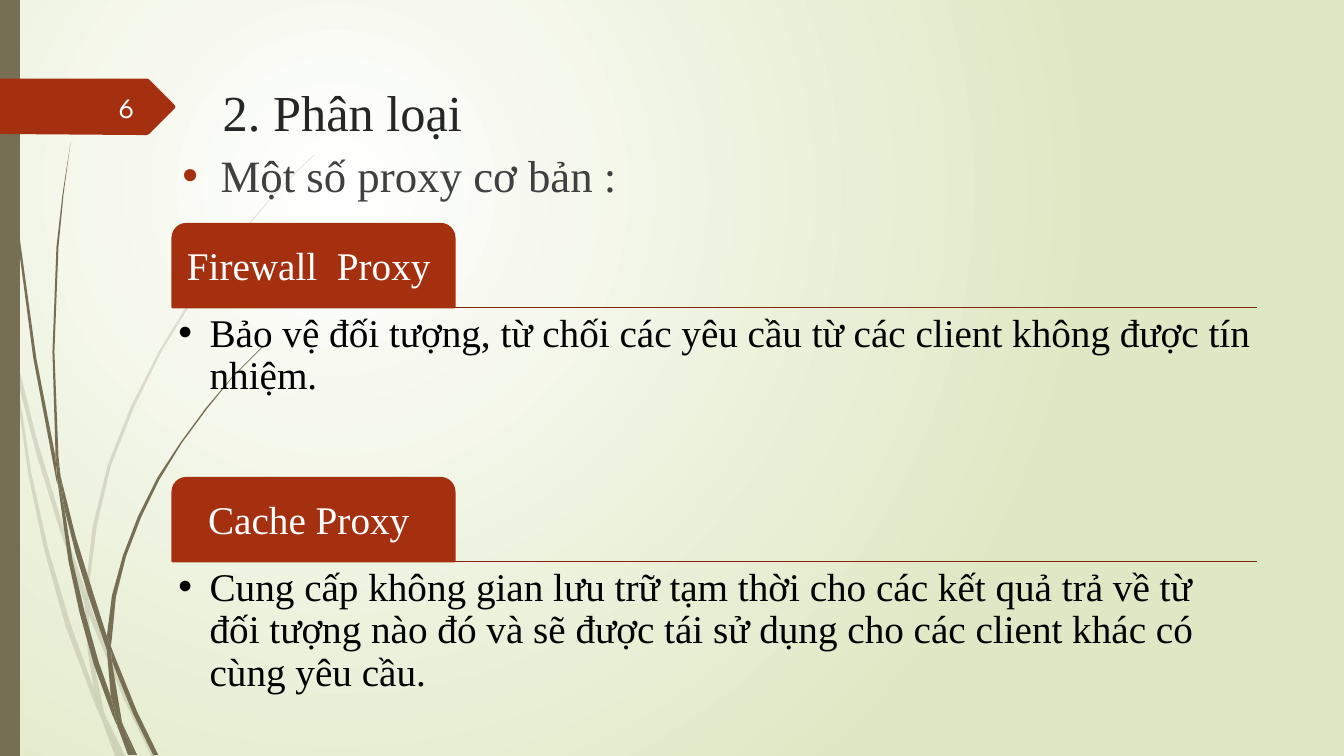
import pptx
import pptx.dml.color
import pptx.enum.shapes
import pptx.enum.text
import pptx.oxml
import pptx.oxml.ns
import pptx.util

Inches = pptx.util.Inches
Pt = pptx.util.Pt
ANCHOR = pptx.enum.text.MSO_ANCHOR
ALIGN = pptx.enum.text.PP_ALIGN
SHAPE = pptx.enum.shapes.MSO_SHAPE
NAMESPACE = pptx.oxml.ns.nsdecls("a")
OLIVE, RUST, DARK_RUST = "766F54", "A53010", "84260D"
color = pptx.dml.color.RGBColor.from_string


def add_outline(points, fill):
    corners = [(Inches(x), Inches(y)) for x, y in points]
    builder = page.shapes.build_freeform(*corners[0])
    builder.add_line_segments(corners[1:], close=True)
    outline = builder.convert_to_shape()
    outline.shadow.inherit = False
    outline.line.fill.background()
    outline.fill.solid()
    outline.fill.fore_color.rgb = color(fill)
    return outline


def add_text(area, text, size, ink, font="Times New Roman", frame_format={},
             para_format={}, indent=0, bullet_color=None):
    box = page.shapes.add_textbox(*map(Inches, area))
    frame = box.text_frame
    for key, value in {"word_wrap": True, **frame_format}.items():
        setattr(frame, key, value)
    para = frame.paragraphs[0]
    for key, value in para_format.items():
        setattr(para, key, value)
    if bullet_color:
        properties = para._p.get_or_add_pPr()
        properties.set("marL", str(Inches(indent)))
        properties.set("indent", str(-Inches(indent)))
        for markup in (f'<a:buClr {NAMESPACE}><a:srgbClr val="{bullet_color}"/></a:buClr>',
                       f'<a:buFont {NAMESPACE} typeface="Arial"/>',
                       f'<a:buChar {NAMESPACE} char="•"/>'):
            properties.append(pptx.oxml.parse_xml(markup))
    span = para.add_run()
    span.text = text
    for key, value in {"name": font, "size": Pt(size)}.items():
        setattr(span.font, key, value)
    span.font.color.rgb = color(ink)


deck = pptx.Presentation()
deck.slide_width, deck.slide_height = Inches(13.33), Inches(7.5)
page = deck.slides.add_slide(deck.slide_layouts[6])

backdrop = page.background.fill
backdrop.gradient()
for stop, shade in zip(backdrop.gradient_stops, ("FFFFFF", "DFE8C4")):
    stop.color.rgb = color(shade)
gradient = page._element.find(".//" + pptx.oxml.ns.qn("a:gradFill"))
gradient.remove(gradient.find(pptx.oxml.ns.qn("a:lin")))
gradient.append(pptx.oxml.parse_xml(
    f'<a:path {NAMESPACE} path="circle"><a:fillToRect l="50000" t="50000" r="100000" b="100000"/></a:path>'))

pale_wisps = [
    [(0.11, 3.5), (0.09, 3.22), (0, 2.82), (0, 2.99), (0.1, 3.44)],
    [(0.58, 5.22), (0.84, 5.99), (0.85, 5.86), (0.62, 5.2), (0.36, 4.34), (0.14, 3.45),
     (0.17, 3.76), (0.36, 4.5)],
    [(0.92, 6.07), (0.88, 5.96), (0.88, 6.1), (1.23, 6.94), (1.5, 7.5), (1.55, 7.5), (1.27, 6.92)],
    [(1.19, 7.5), (1.24, 7.5), (1.05, 7.11)],
    [(0.93, 6.83), (0.7, 6.19), (0.48, 5.45), (0.31, 4.69), (0.17, 3.76), (0.11, 3.5), (0.28, 4.7),
     (0.44, 5.46), (0.65, 6.21), (0.92, 6.93), (1.01, 7.14), (0.99, 7.07)],
    [(0.84, 5.99), (0.87, 6.46), (0.93, 6.83), (0.96, 6.92), (1.05, 7.11), (1.03, 7.06),
     (0.91, 6.46), (0.88, 6.1), (0.88, 6.08)],
    [(0.88, 5.84), (0.96, 5.22), (1.1, 4.62), (1.33, 4.04), (1.6, 3.49), (1.93, 2.95), (2.29, 2.45),
     (2.68, 1.98), (2.9, 1.75), (3.12, 1.54), (3.12, 1.53), (2.89, 1.75), (2.68, 1.97), (2.28, 2.44),
     (1.91, 2.94), (1.58, 3.48), (1.3, 4.03), (1.07, 4.61), (0.92, 5.22), (0.85, 5.84), (0.85, 5.86),
     (0.88, 5.96)],
    [(1.01, 7.14), (1.14, 7.5), (1.19, 7.5)],
    [(0.88, 6.08), (0.88, 5.96), (0.85, 5.86), (0.84, 5.99)],
    [(0.96, 6.92), (0.93, 6.83), (0.99, 7.07), (1.01, 7.14), (1.19, 7.5), (1.05, 7.11)],
]
dark_wisps = [
    [(0.07, 1.1), (0.17, 2.33), (0.33, 3.55), (0.56, 4.77), (0.57, 4.81), (0.55, 4.53), (0.36, 3.55),
     (0.19, 2.32), (0.08, 1.09), (0.05, 0.48), (0.04, 0), (0.03, 0), (0.04, 0.48)],
    [(0.88, 5.92), (1.06, 6.45), (1.06, 6.31), (0.93, 5.9), (0.75, 5.32), (0.6, 4.72), (0.64, 5.05),
     (0.75, 5.49)],
    [(1.13, 6.49), (1.1, 6.41), (1.11, 6.56), (1.32, 7.08), (1.52, 7.49), (1.57, 7.49), (1.36, 7.06)],
    [(1.1, 6.91), (0.98, 6.57), (0.84, 6.07), (0.72, 5.56), (0.64, 5.05), (0.57, 4.77), (0.68, 5.57),
     (0.79, 6.08), (0.93, 6.59), (1.11, 7.08), (1.17, 7.22), (1.16, 7.17)],
    [(0.6, 4.72), (0.58, 4.53), (0.54, 3.49), (0.58, 2.45), (0.63, 1.93), (0.7, 1.41), (0.62, 1.93),
     (0.56, 2.45), (0.52, 3.49), (0.55, 4.49)],
    [(1.33, 7.49), (1.36, 7.49), (1.22, 7.19)],
    [(0.57, 4.77), (0.64, 5.05), (0.6, 4.72), (0.55, 4.49), (0.55, 4.53)],
    [(1.11, 6.33), (1.15, 5.92), (1.25, 5.52), (1.4, 5.13), (1.58, 4.76), (1.8, 4.4), (2.05, 4.06),
     (2.31, 3.74), (2.61, 3.44), (2.6, 3.44), (2.31, 3.73), (2.04, 4.05), (1.79, 4.39), (1.56, 4.74),
     (1.37, 5.12), (1.22, 5.51), (1.11, 5.91), (1.06, 6.31), (1.1, 6.41)],
    [(1.17, 7.22), (1.27, 7.49), (1.31, 7.49)],
    [(1.06, 6.45), (1.1, 6.91), (1.16, 7.06), (1.22, 7.19), (1.21, 7.16), (1.11, 6.56), (1.09, 6.51)],
    [(1.06, 6.45), (1.09, 6.51), (1.11, 6.56), (1.1, 6.41), (1.06, 6.31)],
    [(1.16, 7.06), (1.1, 6.91), (1.16, 7.17), (1.17, 7.22), (1.3, 7.49), (1.33, 7.49), (1.22, 7.19)],
]
for points in pale_wisps:
    wisp = add_outline(points, OLIVE)
    shade = wisp._element.spPr.find(".//" + pptx.oxml.ns.qn("a:srgbClr"))
    shade.append(pptx.oxml.parse_xml(f'<a:alpha {NAMESPACE} val="20000"/>'))
for points in dark_wisps:
    add_outline(points, OLIVE)

add_outline([(0, 0), (0.2, 0), (0.2, 7.5), (0, 7.5)], OLIVE)
add_outline([(0, 0.78), (1.46, 0.78), (1.48, 0.79), (1.73, 1.04), (1.74, 1.06), (1.73, 1.08),
             (1.48, 1.33), (1.46, 1.34), (1.36, 1.34), (0, 1.33)], RUST)

add_text((2.11, 0.76, 10.36, 0.8), "2. Phân loại", 36, "262626")
add_text((1.71, 1.42, 10.76, 5.96), "Một số proxy cơ bản :", 32, "404040",
         para_format={"space_before": Pt(10)}, indent=0.38, bullet_color=RUST)
add_text((0.58, 0.86, 0.85, 0.4), "6", 20, "FEFFFF", font="League Spartan",
         frame_format={"vertical_anchor": ANCHOR.MIDDLE}, para_format={"alignment": ALIGN.RIGHT})

left, width, tab_width, tab_height = 1.71, 10.76, 2.8, 0.83
margins = {f"margin_{side}": Inches(0.06) for side in ("left", "top", "right", "bottom")}
proxies = [
    ("Firewall  Proxy ", "Bảo vệ đối tượng, từ chối các yêu cầu từ các client không được tín nhiệm."),
    ("Cache Proxy ", "Cung cấp không gian lưu trữ tạm thời cho các kết quả trả về từ đối tượng nào đó "
                     "và sẽ được tái sử dụng cho các client khác có cùng yêu cầu."),
]
for row, (name, description) in enumerate(proxies):
    top = 2.22 + row * 2.52
    base = top + tab_height
    rule = page.shapes.add_connector(pptx.enum.shapes.MSO_CONNECTOR.STRAIGHT, Inches(left),
                                     Inches(base), Inches(left + width), Inches(base))
    rule.line.color.rgb = color(DARK_RUST)
    rule._element.spPr.append(pptx.oxml.parse_xml(f"<a:effectLst {NAMESPACE}/>"))
    tab = page.shapes.add_shape(SHAPE.ROUND_2_SAME_RECTANGLE,
                                *map(Inches, (left, top, tab_width, tab_height)))
    tab.shadow.inherit = False
    tab.fill.solid()
    tab.fill.fore_color.rgb = color(RUST)
    tab.line.color.rgb = color(RUST)
    for edge in (rule, tab):
        edge.line.width = Pt(1.25)
    add_text((left + 0.04, top + 0.04, tab_width - 0.08, tab_height - 0.04), name, 28, "FFFFFF",
             frame_format={**margins, "vertical_anchor": ANCHOR.MIDDLE},
             para_format={"alignment": ALIGN.CENTER, "line_spacing": 0.9})
    add_text((left, base, width, 1.65), description, 28, "000000", frame_format=margins,
             para_format={"line_spacing": 0.9}, indent=0.31, bullet_color="000000")

deck.save("out.pptx")
